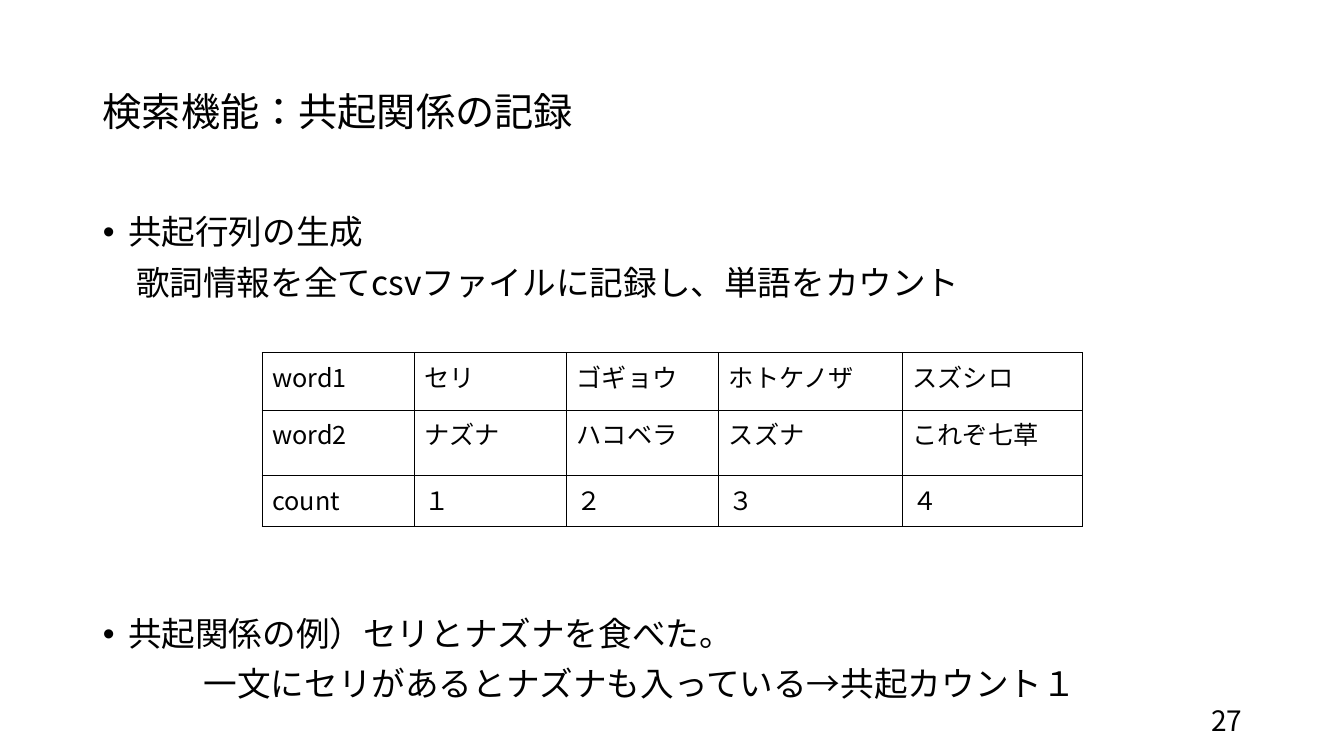
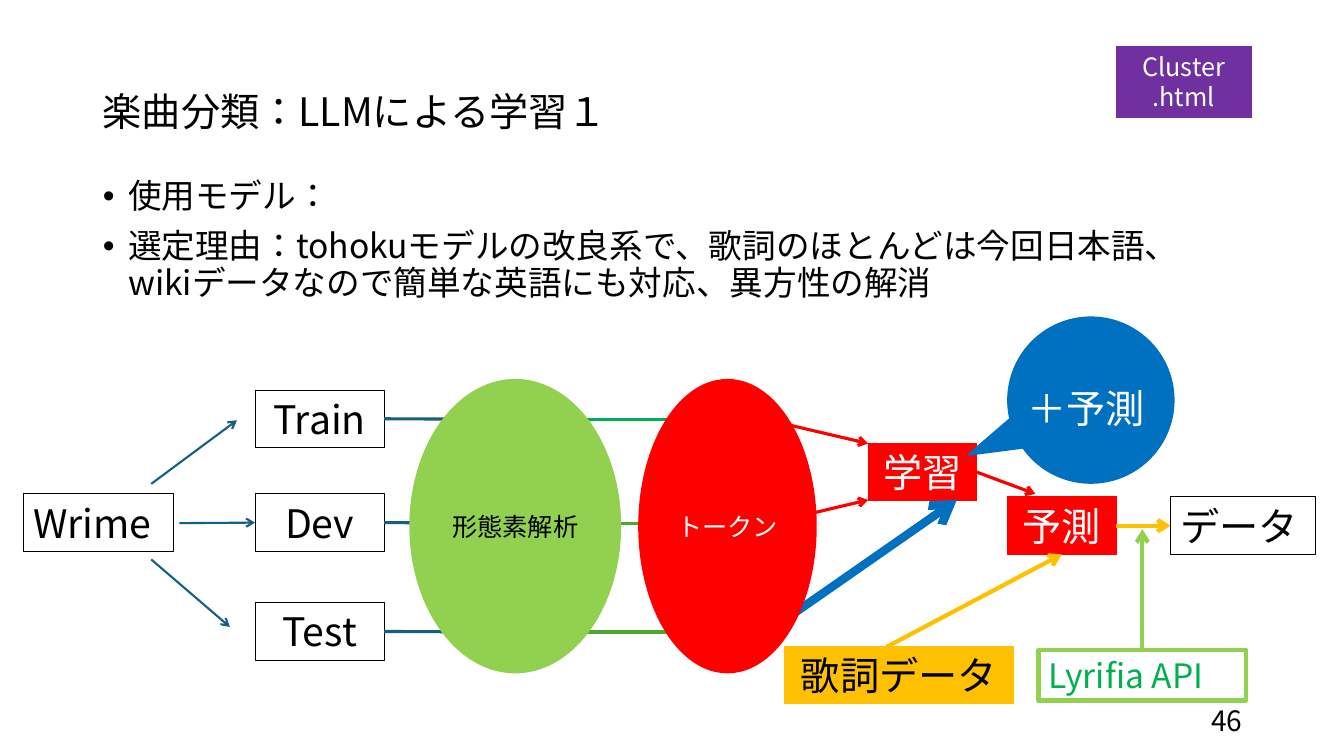
import lxml.etree
import pptx
import pptx.dml.color
import pptx.enum.lang
import pptx.enum.shapes
import pptx.enum.text
import pptx.oxml.ns
import pptx.util

Inches = pptx.util.Inches
RGBColor = pptx.dml.color.RGBColor
Shape = pptx.enum.shapes.MSO_SHAPE
Align = pptx.enum.text.PP_ALIGN
Anchor = pptx.enum.text.MSO_ANCHOR
qn = pptx.oxml.ns.qn
SubElement = lxml.etree.SubElement

FONT = "Noto Sans CJK JP"
BLACK = RGBColor(0x00, 0x00, 0x00)
WHITE = RGBColor(0xFF, 0xFF, 0xFF)
TEAL = RGBColor(0x15, 0x60, 0x82)
GREEN = RGBColor(0x00, 0xB0, 0x50)
LEAF = RGBColor(0x4E, 0xA7, 0x2E)
LIME = RGBColor(0x92, 0xD0, 0x50)
RED = RGBColor(0xFF, 0x00, 0x00)
BLUE = RGBColor(0x00, 0x70, 0xC0)
AMBER = RGBColor(0xFF, 0xC0, 0x00)
PURPLE = RGBColor(0x70, 0x30, 0xA0)


def write_text(frame, text, size=28, color=BLACK, align=Align.LEFT, anchor=Anchor.TOP,
               wrap=True, spacing=1.0, before=0, indent=None, bullet=False):
    frame.word_wrap = wrap
    frame.vertical_anchor = anchor
    for line in text.split("\n"):
        paragraph = frame.add_paragraph() if frame.text else frame.paragraphs[0]
        paragraph.alignment = align
        paragraph.line_spacing = spacing
        paragraph.space_before = pptx.util.Pt(before)
        if indent is not None:
            properties = paragraph._p.get_or_add_pPr()
            properties.set("marL", str(Inches(indent)))
            properties.set("indent", str(Inches(-0.25 if bullet else 0)))
            if bullet:
                SubElement(properties, qn("a:buChar")).set("char", "•")
            else:
                SubElement(properties, qn("a:buNone"))
        run = paragraph.add_run()
        run.text = line
        run.font.size = pptx.util.Pt(size)
        run.font.color.rgb = color
        run.font.name = FONT
        run.font.language_id = pptx.enum.lang.MSO_LANGUAGE_ID.JAPANESE
        SubElement(run._r.get_or_add_rPr(), qn("a:ea")).set("typeface", FONT)


def draw_shape(slide, kind, left, top, width, height, text, fill=None, outline=None,
               weight=0.75, **text_format):
    shape = slide.shapes.add_shape(kind, Inches(left), Inches(top), Inches(width), Inches(height))
    shape.shadow.inherit = False
    if fill is None:
        shape.fill.background()
    else:
        shape.fill.solid()
        shape.fill.fore_color.rgb = fill
    shape.line.color.rgb = outline or fill or BLACK
    shape.line.width = pptx.util.Pt(weight)
    write_text(shape.text_frame, text, **text_format)
    return shape


presentation = pptx.Presentation()
presentation.slide_width = Inches(13.33)
presentation.slide_height = Inches(7.5)

slide_contents = [
    ("検索機能：共起関係の記録", "27", 2.09, [
        ("共起行列の生成", 0, 0.25, True),
        ("歌詞情報を全てcsvファイルに記録し、単語をカウント", 10, 0.33, False),
        ("共起関係の例）セリとナズナを食べた。", 225, 0.25, True),
        ("一文にセリがあるとナズナも入っている→共起カウント１", 10, 1, False),
    ]),
    ("楽曲分類：LLMによる学習１", "46", 1.73, [
        ("使用モデル：", 0, 0.25, True),
        ("選定理由：tohokuモデルの改良系で、歌詞のほとんどは今回日本語、"
         "wikiデータなので簡単な英語にも対応、異方性の解消", 10, 0.25, True),
    ]),
]

for title_text, number, body_top, items in slide_contents:
    slide = presentation.slides.add_slide(presentation.slide_layouts[1])
    title, body = slide.placeholders
    for placeholder, top, height in [(title, 0.4, 1.45), (body, body_top, 5.03)]:
        placeholder.left, placeholder.top = Inches(0.92), Inches(top)
        placeholder.width, placeholder.height = Inches(11.5), Inches(height)
        placeholder.text_frame.auto_size = pptx.enum.text.MSO_AUTO_SIZE.NONE
    write_text(title.text_frame, title_text, anchor=Anchor.MIDDLE, spacing=0.9)
    for text, before, indent, bullet in items:
        write_text(body.text_frame, text, size=24, spacing=0.9, before=before,
                   indent=indent, bullet=bullet)
    number_box = slide.shapes.add_textbox(Inches(9.42), Inches(6.95), Inches(3), Inches(0.4))
    write_text(number_box.text_frame, number, size=20, align=Align.RIGHT, anchor=Anchor.MIDDLE)

matrix_slide, model_slide = presentation.slides

matrix = [
    ["word1", "セリ", "ゴギョウ", "ホトケノザ", "スズシロ"],
    ["word2", "ナズナ", "ハコベラ", "スズナ", "これぞ七草"],
    ["count", "１", "２", "３", "４"],
]
table = matrix_slide.shapes.add_table(
    3, 5, Inches(2.6), Inches(3.5), Inches(8.14), Inches(1.73)).table
table.first_row = False
table.horz_banding = False
for column, width in zip(table.columns, [1.51, 1.51, 1.51, 1.82, 1.79]):
    column.width = Inches(width)
for row, height, words in zip(table.rows, [0.57, 0.65, 0.5], matrix):
    row.height = Inches(height)
    for cell, word in zip(row.cells, words):
        write_text(cell.text_frame, word, size=18)
        cell_properties = cell._tc.get_or_add_tcPr()
        for side in ["a:lnL", "a:lnR", "a:lnT", "a:lnB"]:
            border = SubElement(cell_properties, qn(side))
            border.set("w", str(pptx.util.Pt(1)))
            border_fill = SubElement(border, qn("a:solidFill"))
            SubElement(border_fill, qn("a:srgbClr")).set("val", str(BLACK))
        cell.fill.background()

BOX_HEIGHT = 0.57
white_center = {"color": WHITE, "align": Align.CENTER}
box_contents = [
    ("Train", 2.53, 3.87, 1.28, BOX_HEIGHT, {"align": Align.CENTER}),
    ("Wrime", 0.23, 4.9, 1.49, BOX_HEIGHT, {}),
    ("Dev", 2.53, 4.9, 1.28, BOX_HEIGHT, {"align": Align.CENTER}),
    ("Test", 2.53, 5.98, 1.28, BOX_HEIGHT, {"align": Align.CENTER}),
    ("学習", 8.61, 4.4, 1.08, BOX_HEIGHT, {"fill": RED, **white_center}),
    ("予測", 9.99, 4.93, 1.08, BOX_HEIGHT, {"fill": RED, **white_center}),
    ("Lyrifia API", 10.3, 6.45, 2.06, 0.5,
     {"outline": LIME, "weight": 3, "size": 24, "color": GREEN}),
    ("データ", 11.61, 4.93, 1.44, BOX_HEIGHT, {}),
    ("歌詞データ", 7.78, 6.41, 2.27, BOX_HEIGHT, {"fill": AMBER, "align": Align.CENTER}),
    ("Cluster\n.html", 11.07, 0.46, 1.34, 0.71, {"fill": PURPLE, "size": 18, **white_center}),
]
boxes = {}
for text, left, top, width, height, box_format in box_contents:
    boxes[text] = draw_shape(model_slide, Shape.RECTANGLE, left, top, width, height,
                             text, **box_format)

TOP, LEFT, BOTTOM, RIGHT = range(4)
lines = [
    ((1.5, 4.8), (2.35, 4.17), TEAL, 1.5, True),
    ((1.78, 5.19), ("Dev", LEFT), TEAL, 1.5, True),
    ((1.5, 5.55), (2.28, 6.22), TEAL, 1.5, True),
    ((7.61, 6.27), (9.49, 4.96), BLUE, 6, True),
    ((7.64, 5.19), (8.61, 4.96), RED, 2.25, True),
    ((7.63, 4.17), (8.61, 4.4), RED, 2.25, True),
    (("学習", RIGHT), (10.27, 4.9), RED, 2.25, True),
    (("Lyrifia API", TOP), (11.33, 5.25), LIME, 3, True),
    (("予測", RIGHT), ("データ", LEFT), AMBER, 3, True),
    ((8.79, 6.42), ("予測", BOTTOM), AMBER, 3, True),
]
for name, y, color in [("Train", 4.16, GREEN), ("Dev", 5.19, LEAF), ("Test", 6.27, LEAF)]:
    lines.append(((name, RIGHT), (5.32, y), TEAL, 2.25, False))
    lines.append(((5.32, y), (7.64, y), color, 2.25, True))

for start, end, color, weight, arrow in lines:
    start_joined, end_joined = start[0] in boxes, end[0] in boxes
    start_x, start_y = (0, 0) if start_joined else start
    end_x, end_y = (0, 0) if end_joined else end
    connector = model_slide.shapes.add_connector(
        pptx.enum.shapes.MSO_CONNECTOR.STRAIGHT,
        Inches(start_x), Inches(start_y), Inches(end_x), Inches(end_y))
    if start_joined:
        connector.begin_connect(boxes[start[0]], start[1])
    if end_joined:
        connector.end_connect(boxes[end[0]], end[1])
    connector.line.color.rgb = color
    connector.line.width = pptx.util.Pt(weight)
    if arrow:
        SubElement(connector.line._get_or_add_ln(), qn("a:tailEnd")).set("type", "arrow")
    SubElement(connector._element.spPr, qn("a:effectLst"))

for text, left, width, fill, color in [
    ("形態素解析", 4.07, 2.08, LIME, BLACK),
    ("トークン", 6.34, 1.75, RED, WHITE),
]:
    draw_shape(model_slide, Shape.OVAL, left, 3.77, width, 2.9, text, fill=fill, weight=1.5,
               size=18, color=color, align=Align.CENTER, anchor=Anchor.MIDDLE, wrap=False)

callout = draw_shape(model_slide, Shape.OVAL_CALLOUT, 10, 3.15, 1.64, 1.64, "＋予測", fill=BLUE,
                     weight=1.5, anchor=Anchor.MIDDLE, wrap=False, **white_center)
callout.adjustments[0] = -0.74
callout.adjustments[1] = 0.33
callout.text_frame.margin_top = Inches(0.2)
callout.text_frame.margin_right = Inches(0.2)

presentation.save("out.pptx")
